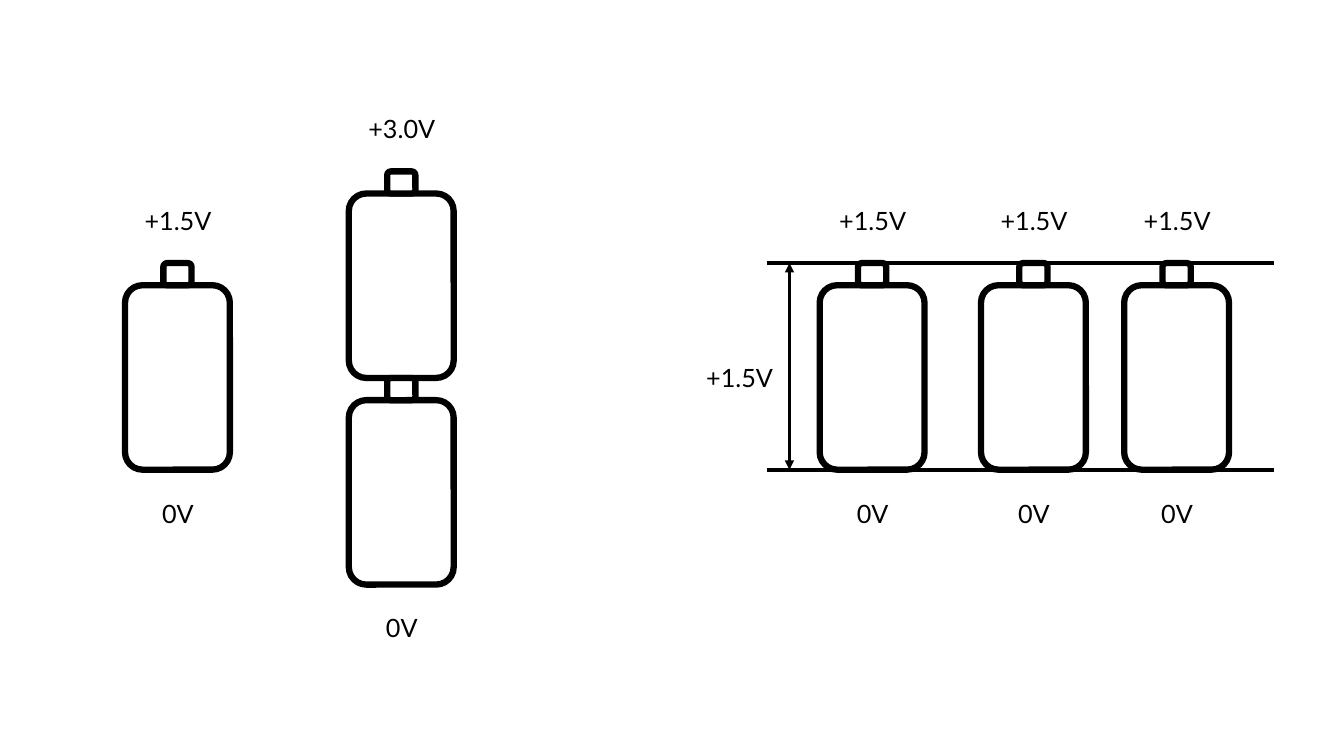
"""Draw battery voltages for a single cell, a series stack and a parallel bank."""
from lxml import etree
from pptx import Presentation, util as u
from pptx.dml.color import RGBColor
from pptx.enum import shapes, text
from pptx.oxml.ns import qn

PX = 9144
COLORS = {"ink": "000000", "paper": "FFFFFF"}
BODY_WIDTH, BODY_HEIGHT = 104, 183
CAP_WIDTH, CAP_HEIGHT = 28, 22
CELL_HEIGHT = BODY_HEIGHT + CAP_HEIGHT
PARALLEL_CENTERS = (865, 1025, 1167)
CELL_TOP = 261


def px(*lengths):
    return [u.Emu(length * PX) for length in lengths]


def color(name):
    return RGBColor.from_string(COLORS[name])


def add_label(slide, content, center, top, width=99, size=18, font="Lato", ink="ink"):
    box = slide.shapes.add_textbox(*px(center - width // 2, top, width, 40))
    frame = box.text_frame
    frame.word_wrap = True
    frame.auto_size = text.MSO_AUTO_SIZE.SHAPE_TO_FIT_TEXT
    paragraph = frame.paragraphs[0]
    paragraph.alignment = text.PP_ALIGN.CENTER
    run = paragraph.add_run()
    run.text = content
    run.font.size = u.Pt(size)
    run.font.name = font
    run.font.color.rgb = color(ink)


def add_outline(slide, center, top, width, height):
    shape = slide.shapes.add_shape(
        shapes.MSO_SHAPE.ROUNDED_RECTANGLE,
        *px(center - width // 2, top, width, height))
    shape.shadow.inherit = False
    shape.fill.solid()
    shape.fill.fore_color.rgb = color("paper")
    shape.line.color.rgb = color("ink")
    shape.line.width = u.Pt(4.5)


def add_battery(slide, center, top):
    add_outline(slide, center, top + CAP_HEIGHT, BODY_WIDTH, BODY_HEIGHT)
    add_outline(slide, center, top, CAP_WIDTH, CAP_HEIGHT)


def add_stack(slide, center, top, voltage, count=1):
    for index in range(count):
        add_battery(slide, center, top + index * CELL_HEIGHT)
    add_label(slide, voltage, center, top - 62)
    add_label(slide, "0V", center, top + count * CELL_HEIGHT + 23, width=73)


def add_line(slide, start, end, width, arrows=False):
    connector = slide.shapes.add_connector(
        shapes.MSO_CONNECTOR.STRAIGHT, *px(*start, *end))
    connector.line.color.rgb = color("ink")
    connector.line.width = u.Pt(width)
    properties = connector._element.spPr
    if arrows:
        for tag in ("a:headEnd", "a:tailEnd"):
            etree.SubElement(properties.find(qn("a:ln")), qn(tag), type="triangle")
    etree.SubElement(properties, qn("a:effectLst"))


def main():
    presentation = Presentation()
    presentation.slide_width, presentation.slide_height = px(1333, 750)
    slide = presentation.slides.add_slide(presentation.slide_layouts[6])

    add_stack(slide, 398, 170, "+3.0V", count=2)
    add_stack(slide, 176, CELL_TOP, "+1.5V")
    for center in PARALLEL_CENTERS:
        add_stack(slide, center, CELL_TOP, "+1.5V")

    cell_bottom = CELL_TOP + CELL_HEIGHT
    for rail in (cell_bottom, CELL_TOP):
        add_line(slide, (761, rail), (1264, rail), 3)
    add_line(slide, (783, CELL_TOP), (783, cell_bottom), 2.25, arrows=True)
    add_label(slide, "+1.5V", 733, 355)

    presentation.save("out.pptx")


if __name__ == "__main__":
    main()
